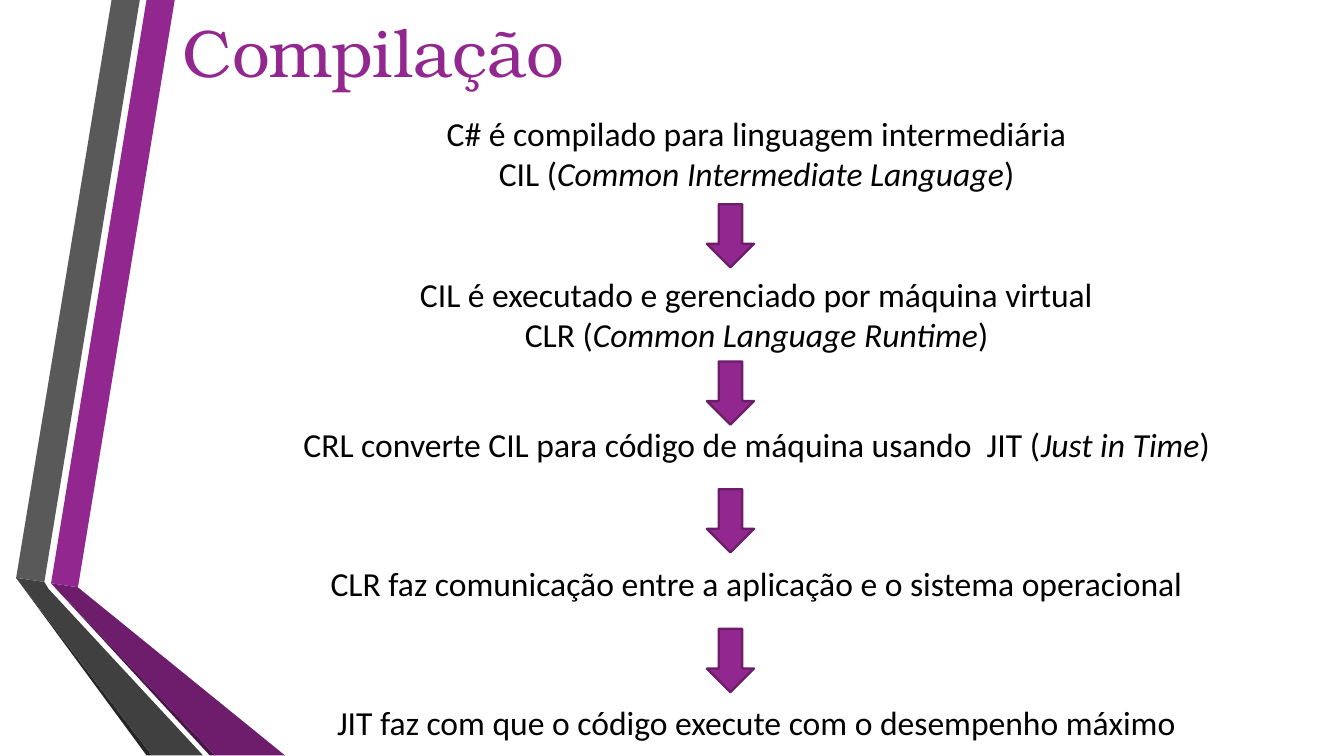
from dataclasses import dataclass

from pptx import Presentation
from pptx.dml.color import RGBColor
from pptx.enum.shapes import MSO_SHAPE
from pptx.enum.text import MSO_ANCHOR, PP_ALIGN
from pptx.util import Inches, Pt

DOWN_ARROW = MSO_SHAPE.DOWN_ARROW
TOP = MSO_ANCHOR.TOP
LEFT, CENTER = PP_ALIGN.LEFT, PP_ALIGN.CENTER


@dataclass(frozen=True)
class Theme:
    purple: RGBColor = RGBColor.from_string("92278F")
    purple_line: RGBColor = RGBColor.from_string("6C1D6A")
    purple_dark: RGBColor = RGBColor.from_string("6D1D6B")
    purple_deep: RGBColor = RGBColor.from_string("491447")
    gray: RGBColor = RGBColor.from_string("595959")
    gray_dark: RGBColor = RGBColor.from_string("404040")
    gray_deep: RGBColor = RGBColor.from_string("262626")
    black: RGBColor = RGBColor.from_string("000000")
    title_font: str = "TeX Gyre Bonum"
    body_font: str = "Calibri"
    title_size: Pt = Pt(36)
    body_size: Pt = Pt(18)


theme = Theme()


def add_text_frame(page, left, top, width, height):
    box = page.shapes.add_textbox(Inches(left), Inches(top), Inches(width), Inches(height))
    frame = box.text_frame
    frame.word_wrap = True
    frame.vertical_anchor = TOP
    frame.margin_left = frame.margin_right = Inches(0.1)
    frame.margin_top = frame.margin_bottom = Inches(0.1)
    return frame


def style_paragraph(para, font_name, size, color, align):
    para.alignment = align
    para.font.name = font_name
    para.font.size = size
    para.font.color.rgb = color


deck = Presentation()
deck.slide_width = Inches(10)
deck.slide_height = deck.slide_width * 9 // 16
page = deck.slides.add_slide(deck.slide_layouts[6])

# Folded ribbons along the left edge, from back to front
bottom = 5.62
ribbons = [
    (theme.purple, [(0.38, 4.34), (0.58, 4.37), (1.3, 0), (1.09, 0)]),
    (theme.gray, [(1.04, 0), (0.83, 0), (0.12, 4.3), (0.33, 4.33)]),
    (theme.gray_deep, [(0.12, 4.3), (1.09, bottom), (1.13, bottom)]),
    (theme.purple_deep, [(0.38, 4.34), (1.56, bottom), (1.6, bottom)]),
    (theme.purple_dark, [(0.38, 4.34), (1.6, bottom), (2.12, bottom), (0.58, 4.37)]),
    (theme.gray_dark, [(1.51, bottom), (0.36, 4.38), (0.33, 4.33), (0.12, 4.3), (1.13, bottom)]),
]
for color, corners in ribbons:
    points = [(Inches(x), Inches(y)) for x, y in corners]
    builder = page.shapes.build_freeform(*points[0])
    builder.add_line_segments(points[1:], close=True)
    ribbon = builder.convert_to_shape()
    ribbon.shadow.inherit = False
    ribbon.fill.solid()
    ribbon.fill.fore_color.rgb = color
    ribbon.line.fill.background()

# Title
title = add_text_frame(page, 1.26, -0.02, 7.7, 1).paragraphs[0]
title.text = "Compilação"
style_paragraph(title, theme.title_font, theme.title_size, theme.purple, LEFT)

# Compilation steps: space before in points, then (text, italic) spans
steps = [
    (0, [("C# é compilado para linguagem intermediária", False)]),
    (0, [("CIL (", False), ("Common Intermediate Language", True), (")", False)]),
    (43, [("CIL é executado e gerenciado por máquina virtual", False)]),
    (0, [("CLR (", False), ("Common Language Runtime", True), (")", False)]),
    (37, [("CRL converte CIL para código de máquina usando  JIT (", False),
          ("Just in Time", True), (")", False)]),
    (53, [("CLR faz comunicação entre a aplicação e o sistema operacional", False)]),
    (53, [("JIT faz com que o código execute com o desempenho máximo", False)]),
]
body = add_text_frame(page, 1.26, 0.74, 8.74, 4.86)
for index, (gap, spans) in enumerate(steps):
    para = body.add_paragraph() if index else body.paragraphs[0]
    if gap:
        para.space_before = Pt(gap)
    style_paragraph(para, theme.body_font, theme.body_size, theme.black, CENTER)
    for text, italic in spans:
        span = para.add_run()
        span.text = text
        if italic:
            span.font.italic = True

# Arrows between the steps
for top in (1.52, 2.69, 3.64, 4.68):
    arrow = page.shapes.add_shape(DOWN_ARROW, Inches(5.26), Inches(top), Inches(0.35), Inches(0.47))
    arrow.shadow.inherit = False
    arrow.fill.solid()
    arrow.fill.fore_color.rgb = theme.purple
    arrow.line.color.rgb = theme.purple_line
    arrow.line.width = Pt(1.25)

deck.save("out.pptx")
